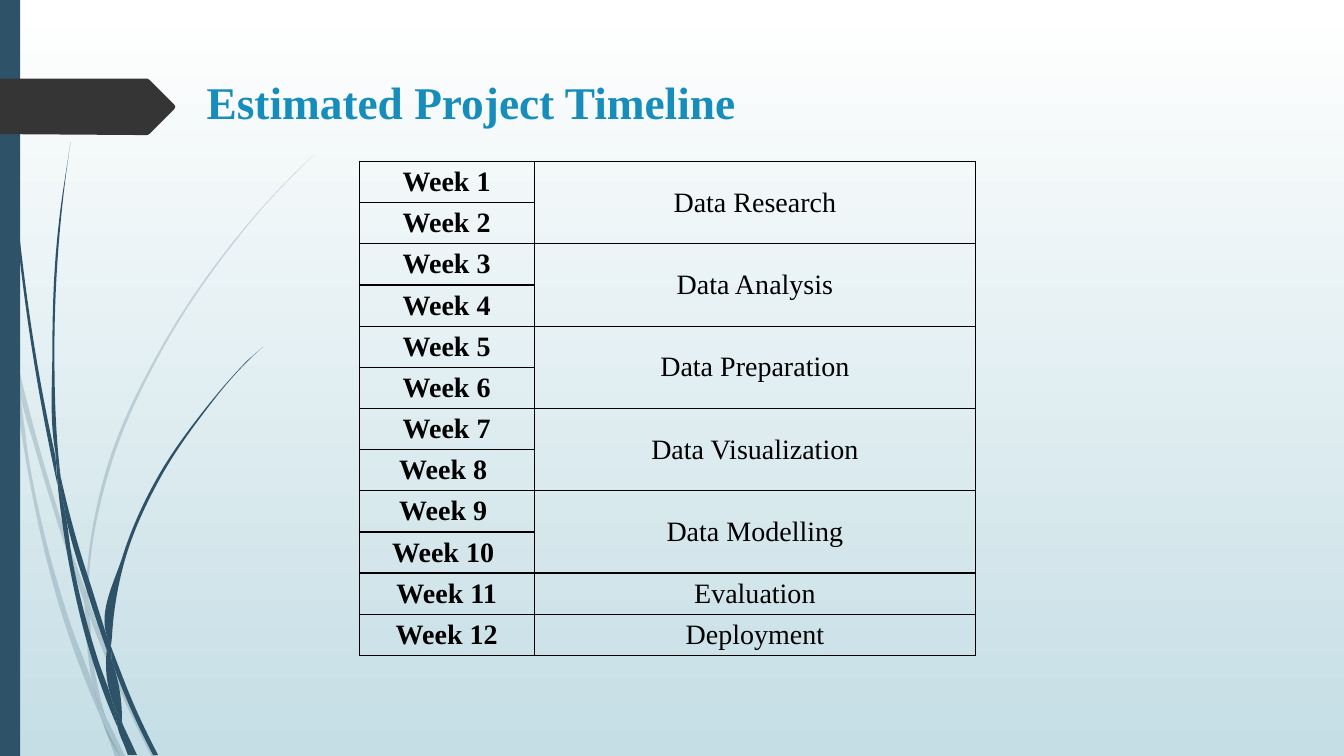
from lxml import etree
from pptx import Presentation
from pptx import util as u
from pptx.dml import color
from pptx.enum import shapes, text
from pptx.oxml import ns

COLORS = {
    "sky_top": "FFFFFF",
    "sky_bottom": "C5DEE5",
    "grass": "2E5369",
    "tag": "353535",
    "title": "178DBB",
    "ink": "000000",
}
FONT = "Times New Roman"
ROW_HEIGHT = 29.4
PHASES = [
    ("Data Research", 2),
    ("Data Analysis", 2),
    ("Data Preparation", 2),
    ("Data Visualization", 2),
    ("Data Modelling", 2),
    ("Evaluation", 1),
    ("Deployment", 1),
]
TAG = [(0, 56.2), (105.1, 56.2), (106.6, 56.9), (124.6, 74.9), (125.2, 76.3),
       (124.6, 77.8), (106.6, 95.8), (105.1, 96.5), (0, 95.8)]
PALE_GRASS = [
    ([(7.9, 252), (6.5, 231.8), (0, 203)], [(0, 215.3), (7.9, 252)]),
    ([(10.1, 248.4), (12.2, 270.7), (25.9, 323.3), (41.8, 375.8), (60.5, 431.3)],
     [(61.2, 421.9), (44.6, 374.4), (25.9, 311.8), (10.1, 248.4)]),
    ([(63.4, 429.1), (66.2, 437), (91.4, 498.2), (111.6, 540)],
     [(108, 540), (88.6, 499.7), (63.4, 439.2)]),
    ([(85.7, 540), (89.3, 540)], [(75.6, 511.9)]),
    ([(7.9, 252), (20.2, 338.4), (31.6, 393), (46.8, 447.1), (66.2, 499), (72.7, 514.1)],
     [(71.3, 509), (67, 491.8), (50.4, 445.7), (34.5, 392.4), (22.3, 337.7),
      (12.2, 270.7), (7.9, 252)]),
    ([(60.5, 431.3), (62.6, 465.1), (67, 491.8), (75.6, 511.9)],
     [(74.2, 508.3), (65.5, 465.1), (63.4, 439.2), (60.5, 431.3)]),
    ([(61.2, 421.9), (77, 331.9), (113.8, 250.6), (164.2, 175.7), (193, 141.8), (224.6, 110.2)],
     [(208.8, 126), (193, 142.6), (164.9, 176.4), (115.2, 251.3), (79.2, 332.6),
      (63.4, 420.5), (63.4, 429.1)]),
    ([(72.7, 514.1), (82.1, 540)], [(85.7, 540)]),
    ([(60.5, 431.3), (63.4, 439.2)], [(63.4, 429.1), (61.2, 421.9)]),
    ([(67, 491.8), (71.3, 509), (72.7, 514.1), (85.7, 540)], [(75.6, 511.9), (69.1, 498.2)]),
]
DARK_GRASS = [
    ([(2.2, 0), (5, 79.2), (12.2, 167.8), (23.8, 255.6), (41, 346.3)],
     [(39.6, 326.2), (25.9, 255.6), (13.7, 167), (5.8, 78.5), (2.9, 0)]),
    ([(43.2, 339.8), (46.1, 363.6), (63.4, 426.2), (76.3, 464.4)],
     [(76.3, 454.3), (67, 424.8), (54, 382.9), (43.2, 339.8)]),
    ([(79.2, 461.5), (81.4, 467.3), (97.9, 508.3), (113, 539.3)],
     [(109.4, 539.3), (95, 509.8), (79.9, 472.3)]),
    ([(41, 343.4), (49, 401), (67, 474.5), (79.9, 509.8), (84.2, 519.8)],
     [(83.5, 516.2), (79.2, 497.5), (70.6, 473), (51.8, 400.3), (46.1, 363.6), (41, 343.4)]),
    ([(43.2, 339.8), (41.8, 326.2), (38.9, 251.3), (41.8, 176.4), (45.4, 139), (50.4, 101.5)],
     [(44.6, 139), (40.3, 176.4), (37.4, 251.3), (39.6, 323.3), (43.2, 339.8)]),
    ([(95.8, 539.3), (97.9, 539.3)], [(87.8, 517.7)]),
    ([(41, 343.4), (46.1, 363.6)], [(43.2, 339.8), (39.6, 323.3)]),
    ([(79.9, 455.8), (90, 397.4), (113.8, 342.7), (147.6, 292.3), (166.3, 269.3),
      (176.4, 258.5), (187.9, 247.7)],
     [(176.4, 257.8), (166.3, 268.6), (146.9, 291.6), (112.3, 341.3), (87.8, 396.7),
      (76.3, 454.3), (79.2, 461.5)]),
    ([(84.2, 519.8), (91.4, 539.3)], [(94.3, 539.3)]),
    ([(76.3, 464.4), (79.2, 497.5), (83.5, 508.3), (87.8, 517.7)],
     [(87.1, 515.5), (79.9, 472.3), (78.5, 468.7)]),
    ([(76.3, 464.4), (79.9, 472.3)], [(79.2, 461.5), (76.3, 454.3)]),
    ([(79.2, 497.5), (83.5, 516.2), (84.2, 519.8), (93.6, 539.3)],
     [(95.8, 539.3), (87.8, 517.7), (83.5, 508.3)]),
]


def rgb(name):
    """Return the named colour."""
    return color.RGBColor.from_string(COLORS[name])


def paint(shape, name, opacity=100):
    """Give a shape a plain fill without line or shadow."""
    shape.shadow.inherit = False
    shape.line.fill.background()
    shape.fill.solid()
    shape.fill.fore_color.rgb = rgb(name)
    if opacity < 100:
        for tint in shape.element.xpath("./p:spPr/a:solidFill/a:srgbClr"):
            etree.SubElement(tint, ns.qn("a:alpha"), val=str(opacity * 1000))


def add_outline(slide, points, name, opacity=100):
    """Add a closed filled outline and return its shape."""
    start, *rest = [(u.Pt(x), u.Pt(y)) for x, y in points]
    builder = slide.shapes.build_freeform(*start)
    builder.add_line_segments(rest, close=True)
    outline = builder.convert_to_shape()
    paint(outline, name, opacity)
    return outline


def curve_controls(knots):
    """Return the two control points of each curve through complex knots."""
    chords = [b - a for a, b in zip(knots, knots[1:])]
    spans = [abs(chord) for chord in chords]
    slopes = [chord / span for chord, span in zip(chords, spans)]
    inner = [(s * g + r * h) / (g + h)
             for s, r, h, g in zip(slopes, slopes[1:], spans, spans[1:])]
    if inner:
        tangents = [2 * slopes[0] - inner[0], *inner, 2 * slopes[-1] - inner[-1]]
    else:
        tangents = slopes * 2
    return [(a + m * h / 3, b - n * h / 3)
            for a, b, m, n, h in zip(knots, knots[1:], tangents, tangents[1:], spans)]


def bend_edge(vertices):
    """Turn the straight segments between path vertices into curves."""
    knots = [complex(int(v.get("x")), int(v.get("y"))) for v in vertices]
    for vertex, controls in zip(vertices[1:], curve_controls(knots)):
        segment = vertex.getparent()
        curve = etree.Element(ns.qn("a:cubicBezTo"))
        for control in controls:
            etree.SubElement(curve, ns.qn("a:pt"),
                             x=str(round(control.real)), y=str(round(control.imag)))
        segment.getparent().replace(segment, curve)
        curve.append(vertex)


def add_grass(slide, blades, opacity):
    """Add a tuft of curved blades."""
    for outer, inner in blades:
        blade = add_outline(slide, outer + inner, "grass", opacity)
        vertices = blade.element.xpath(".//a:path//a:pt")
        bend_edge(vertices[:len(outer)])
        if len(inner) > 1:
            bend_edge(vertices[len(outer):])


def style_run(paragraph, size, name, bold):
    """Format the only run of a paragraph."""
    font = paragraph.runs[0].font
    font.name, font.size, font.bold = FONT, u.Pt(size), bold
    font.color.rgb = rgb(name)


def add_title(slide, wording):
    """Add the slide title."""
    frame = slide.shapes.add_textbox(u.Pt(140.5), u.Pt(49.6), u.Pt(765.4), u.Pt(44)).text_frame
    frame.word_wrap = True
    frame.text = wording
    style_run(frame.paragraphs[0], 32.4, "title", True)


def style_cell(cell):
    """Give a cell black borders, no fill and no vertical margins."""
    properties = cell._tc.get_or_add_tcPr()
    for side in ("a:lnL", "a:lnR", "a:lnT", "a:lnB"):
        border = etree.SubElement(properties, ns.qn(side), w=str(u.Pt(1)))
        stroke = etree.SubElement(border, ns.qn("a:solidFill"))
        etree.SubElement(stroke, ns.qn("a:srgbClr"), val=COLORS["ink"])
    cell.fill.background()
    cell.margin_top = cell.margin_bottom = 0
    cell.vertical_anchor = text.MSO_ANCHOR.MIDDLE


def write_cell(cell, wording, bold):
    """Write centred text into a cell."""
    cell.text_frame.text = wording
    paragraph = cell.text_frame.paragraphs[0]
    paragraph.alignment = text.PP_ALIGN.CENTER
    style_run(paragraph, 20, "ink", bold)


def add_timeline(slide):
    """Add the table of weeks and project phases."""
    weeks = sum(length for _, length in PHASES)
    timeline = slide.shapes.add_table(weeks, 2, u.Pt(256.5), u.Pt(115.4), u.Pt(440.4),
                                      u.Pt(ROW_HEIGHT * weeks)).table
    timeline.first_row = timeline.horz_banding = False
    timeline.columns[0].width, timeline.columns[1].width = u.Pt(125.1), u.Pt(315.3)
    for row in timeline.rows:
        row.height = u.Pt(ROW_HEIGHT)
    for cell in timeline.iter_cells():
        style_cell(cell)
    for week in range(1, weeks + 1):
        tail = " " if 8 <= week <= 10 else ""
        write_cell(timeline.cell(week - 1, 0), f"Week {week}{tail}", True)
    first = 0
    for phase, length in PHASES:
        phase_cell = timeline.cell(first, 1)
        if length > 1:
            phase_cell.merge(timeline.cell(first + length - 1, 1))
        write_cell(phase_cell, phase, False)
        first += length


def set_sky(slide):
    """Fill the background with a vertical gradient."""
    sky = slide.background.fill
    sky.gradient()
    sky.gradient_angle = 270
    for stop, name, position in zip(sky.gradient_stops, ("sky_top", "sky_bottom"), (0, 1)):
        stop.color.rgb = rgb(name)
        stop.position = position


def main():
    """Build and save the slide."""
    deck = Presentation()
    deck.slide_width, deck.slide_height = u.Pt(960), u.Pt(540)
    slide = deck.slides.add_slide(deck.slide_layouts[6])
    set_sky(slide)
    add_grass(slide, PALE_GRASS, 20)
    add_grass(slide, DARK_GRASS, 100)
    side_bar = slide.shapes.add_shape(shapes.MSO_SHAPE.RECTANGLE, 0, 0, u.Pt(14.4), u.Pt(540))
    paint(side_bar, "grass")
    add_outline(slide, TAG, "tag")
    add_title(slide, "Estimated Project Timeline")
    add_timeline(slide)
    deck.save("out.pptx")


if __name__ == "__main__":
    main()
